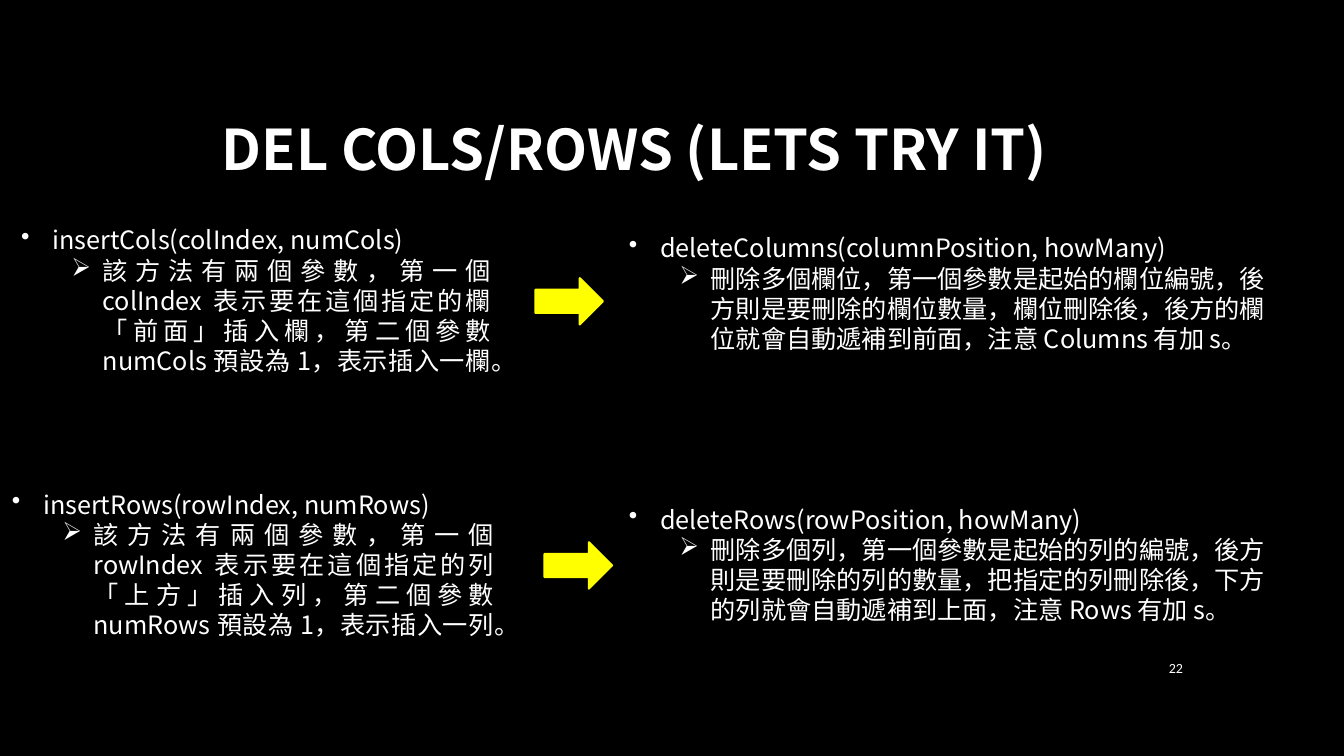
"""Build the slide that pairs the insert and delete methods for columns and rows."""
from lxml.etree import SubElement
from pptx import Presentation
from pptx.dml.color import RGBColor
from pptx.enum.shapes import MSO_SHAPE as Shape
from pptx.enum.text import MSO_ANCHOR as Anchor, PP_ALIGN as Align
from pptx.oxml.ns import qn
from pptx.util import Inches, Pt

WHITE, YELLOW, BLACK = "FFFFFF", "FFFF00", "000000"
SANS = "Noto Sans CJK SC"

presentation = Presentation()
presentation.slide_width, presentation.slide_height = Inches(13.33), Inches(7.5)
slide = presentation.slides.add_slide(presentation.slide_layouts[6])
slide.background.fill.solid()
slide.background.fill.fore_color.rgb = RGBColor.from_string(BLACK)


def place(left, top, width, height):
    """Turn percentages of the slide into lengths."""
    across, down = presentation.slide_width / 100, presentation.slide_height / 100
    return [int(left * across), int(top * down), int(width * across), int(height * down)]


def add_text(texts, area, size=18, font=SANS, bold=False, aligns=(Align.LEFT,),
             anchor=Anchor.TOP, bullets="", line_height=None):
    """Add a text box with one paragraph per text, bulleted by level if asked."""
    frame = slide.shapes.add_textbox(*place(*area)).text_frame
    frame.word_wrap = True
    frame.vertical_anchor = anchor
    for level, (text, align) in enumerate(zip(texts, aligns)):
        paragraph = frame.add_paragraph() if level else frame.paragraphs[0]
        paragraph.alignment = align
        paragraph.level = level
        paragraph.line_spacing = line_height
        run = paragraph.add_run()
        run.text = text
        run.font.name, run.font.size, run.font.bold = font, Pt(size), bold
        run.font.color.rgb = RGBColor.from_string(WHITE)
        SubElement(run.font._element, qn("a:ea"), typeface=font)
        if bullets:
            properties = paragraph._p.get_or_add_pPr()
            properties.set("marL", str(Inches(0.31 + 0.5 * level)))
            properties.set("indent", str(Inches(-0.31)))
            SubElement(properties, qn("a:buChar"), char=bullets[level])


add_text(["DEL COLS/ROWS (LETS TRY IT)"], (5.63, 8.93, 83.12, 21.2), size=40, bold=True,
         aligns=[Align.CENTER], anchor=Anchor.MIDDLE)
add_text(["22"], (84.25, 85.6, 4.5, 5.47), size=10, font="Calibri",
         aligns=[Align.RIGHT], anchor=Anchor.MIDDLE)

left, justified = Align.LEFT, Align.JUSTIFY
methods = [
    ("insertCols(colIndex, numCols)",
     "該方法有兩個參數，第一個 colIndex 表示要在這個指定的欄「前面」插入欄，"
     "第二個參數 numCols 預設為 1，表示插入一欄。",
     (0.83, 29.07, 36.46, 21.6), (justified, justified)),
    ("deleteColumns(columnPosition, howMany)",
     "刪除多個欄位，第一個參數是起始的欄位編號，後方則是要刪除的欄位數量，"
     "欄位刪除後，後方的欄位就會自動遞補到前面，注意 Columns 有加 s。",
     (46.06, 30.13, 50.04, 17.47), (left, left)),
    ("insertRows(rowIndex, numRows)",
     "該方法有兩個參數，第一個 rowIndex 表示要在這個指定的列「上方」插入列，"
     "第二個參數 numRows 預設為 1，表示插入一列。",
     (0.15, 64, 37.36, 21.6), (left, justified)),
    ("deleteRows(rowPosition, howMany)",
     "刪除多個列，第一個參數是起始的列的編號，後方則是要刪除的列的數量，"
     "把指定的列刪除後，下方的列就會自動遞補到上面，注意 Rows 有加 s。",
     (46.06, 66, 50.04, 17.47), (left, left)),
]
for signature, explanation, area, aligns in methods:
    add_text([signature, explanation], area, aligns=aligns, bullets="•➢", line_height=Pt(21.6))

for arrow_left, arrow_top in [(39.83, 36.8), (40.51, 71.73)]:
    arrow = slide.shapes.add_shape(Shape.RIGHT_ARROW, *place(arrow_left, arrow_top, 5.03, 6.13))
    arrow.shadow.inherit = False
    arrow.fill.solid()
    arrow.fill.fore_color.rgb = arrow.line.color.rgb = RGBColor.from_string(YELLOW)
    arrow.line.width = Pt(1.5)

presentation.save("out.pptx")
